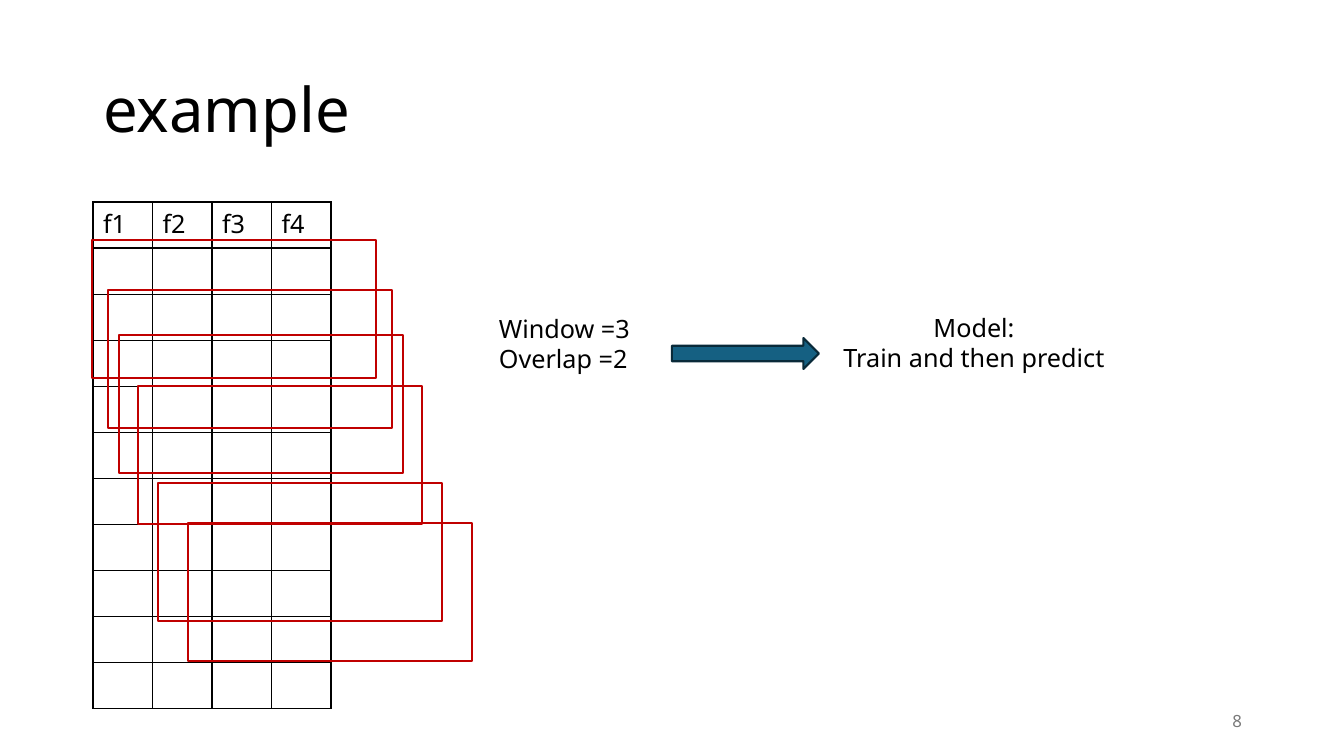
import pptx
import pptx.util
import pptx.dml.color
import pptx.enum.shapes
import pptx.enum.text
import pptx.oxml
import pptx.oxml.ns

RGB = pptx.dml.color.RGBColor
BLACK = RGB(0x00, 0x00, 0x00)
GREY = RGB(0x79, 0x79, 0x79)
RED = RGB(0xC0, 0x00, 0x00)
TEAL = RGB(0x15, 0x60, 0x82)
NAVY = RGB(0x09, 0x2A, 0x39)

FACE = "Noto Sans"
SCALE = 914400 / 100.8
ALIGN = pptx.enum.text.PP_ALIGN
ANCHOR = pptx.enum.text.MSO_ANCHOR
FIT = pptx.enum.text.MSO_AUTO_SIZE
KIND = pptx.enum.shapes.MSO_SHAPE


def px(*nums):
    """Turn lengths in px into a list of EMU."""
    return [pptx.util.Emu(round(num * SCALE)) for num in nums]


def put(item, values):
    """Set each attribute of the item from a dict."""
    for key, value in values.items():
        setattr(item, key, value)


def write(frame, lines, size=18, color=BLACK, para=None, body=None):
    """Fill a text frame with one paragraph per line."""
    put(frame, {"word_wrap": True, **(body or {})})
    for num, line in enumerate(lines):
        part = frame.add_paragraph() if num else frame.paragraphs[0]
        put(part, para or {})
        run = part.add_run()
        run.text = line
        put(run.font, {"size": pptx.util.Pt(size), "name": FACE})
        run.font.color.rgb = color


def add_title(slide, box, text):
    """Place and fill the title placeholder."""
    title = slide.shapes.title
    put(title, dict(zip(("left", "top", "width", "height"), px(*box))))
    write(title.text_frame, [text], 44,
          para={"alignment": ALIGN.LEFT, "line_spacing": 0.9},
          body={"vertical_anchor": ANCHOR.MIDDLE, "auto_size": FIT.NONE})


def add_note(slide, box, lines, **style):
    """Add a text box with the given lines."""
    note = slide.shapes.add_textbox(*px(*box))
    write(note.text_frame, lines, **style)


def edge_cell(cell):
    """Clear the cell fill and draw black borders on all sides."""
    cell.fill.background()
    props = cell._tc.get_or_add_tcPr()
    for num, side in enumerate("LRTB"):
        edge = pptx.oxml.parse_xml(
            f'<a:ln{side} {pptx.oxml.ns.nsdecls("a")} w="12700"><a:solidFill>'
            f'<a:srgbClr val="{BLACK}"/></a:solidFill></a:ln{side}>')
        props.insert(num, edge)


def add_grid(slide, box, heads, rows):
    """Add the feature table with a head row and empty rows."""
    table = slide.shapes.add_table(rows, len(heads), *px(*box)).table
    put(table, {"first_row": False, "horz_banding": False})
    for cell in table.iter_cells():
        edge_cell(cell)
    for cell, head in zip(table.rows[0].cells, heads):
        write(cell.text_frame, [head])


def add_form(slide, kind, box, line, fill=None):
    """Add a preset shape with a line and an optional fill."""
    form = slide.shapes.add_shape(kind, *px(*box))
    form.shadow.inherit = False
    form.line.color.rgb = line
    form.line.width = pptx.util.Pt(1.5)
    if fill is None:
        form.fill.background()
    else:
        form.fill.solid()
        form.fill.fore_color.rgb = fill


def add_frames(slide, spots, width, height):
    """Add the sliding windows at their left and top spots."""
    for left, top in spots:
        add_form(slide, KIND.RECTANGLE, (left, top, width, height), RED)


def add_flow(slide, box):
    """Add the settings, the model text and the arrow between them."""
    left, top, width, height = box
    grow = {"auto_size": FIT.SHAPE_TO_FIT_TEXT}
    add_note(slide, (left, top + 1, 250, height),
             ["Window =3", "Overlap =2"], body=grow)
    add_note(slide, (left + width - 326, top, 326, height),
             ["Model:", "Train and then predict"],
             para={"alignment": ALIGN.CENTER}, body=grow)
    add_form(slide, KIND.RIGHT_ARROW, (left + 183, top + 31, 147, 31),
             NAVY, TEAL)


def main():
    """Build the slide and save it."""
    deck = pptx.Presentation()
    put(deck, dict(zip(("slide_width", "slide_height"), px(1344, 756))))
    slide = deck.slides.add_slide(deck.slide_layouts[5])
    add_title(slide, (93, 40, 1159, 146), "example")
    add_grid(slide, (93, 202, 238, 507), ["f1", "f2", "f3", "f4"], 11)
    add_frames(slide, [(92, 240), (108, 290), (119, 335),
                       (188, 523), (138, 386), (158, 483)], 284, 138)
    add_flow(slide, (489, 307, 648, 72))
    add_note(slide, (950, 701, 302, 40), ["8"], size=12, color=GREY,
             para={"alignment": ALIGN.RIGHT},
             body={"vertical_anchor": ANCHOR.MIDDLE})
    deck.save("out.pptx")


if __name__ == "__main__":
    main()
